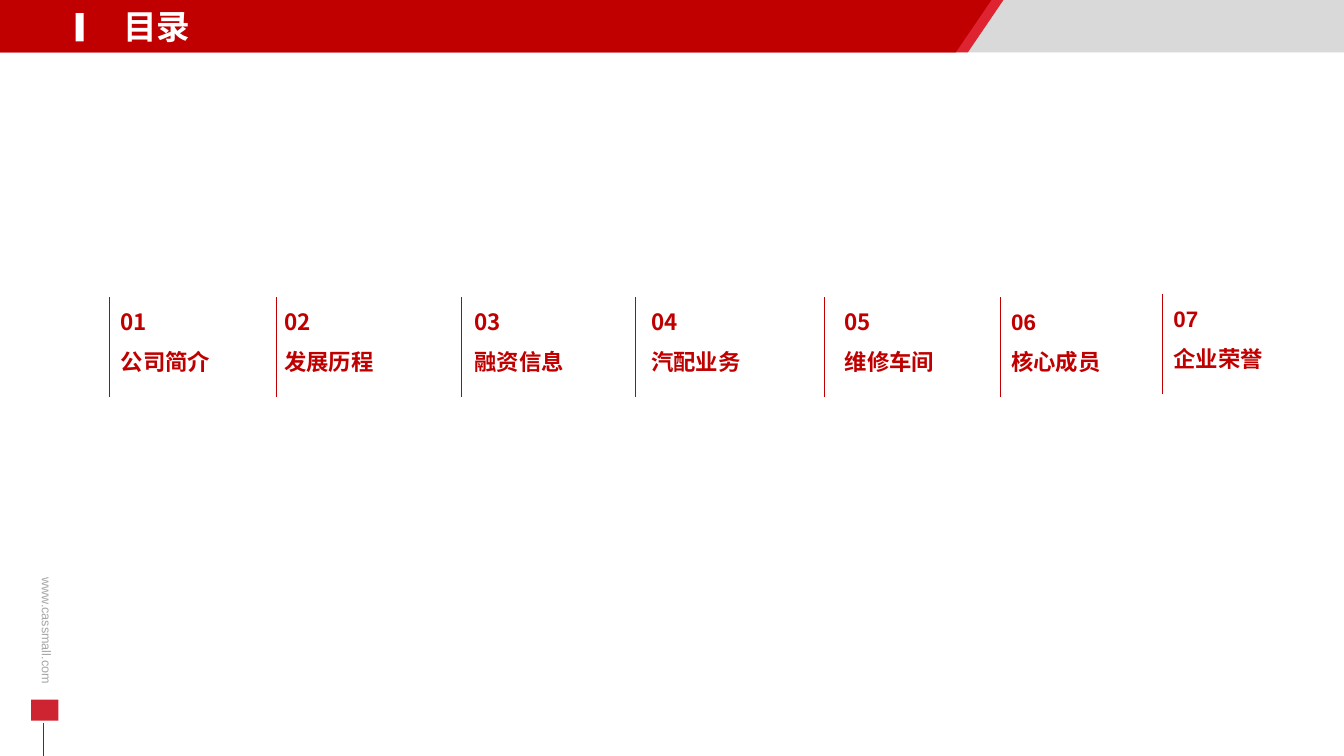
from dataclasses import dataclass

from lxml import etree
from pptx import Presentation
from pptx.dml.color import RGBColor
from pptx.enum.shapes import MSO_CONNECTOR, MSO_SHAPE
from pptx.enum.text import MSO_ANCHOR, MSO_AUTO_SIZE, PP_ALIGN
from pptx.oxml.ns import qn
from pptx.shapes.autoshape import Shape
from pptx.slide import Slide
from pptx.text.text import TextFrame, _Run
from pptx.util import Inches, Pt

STRAIGHT = MSO_CONNECTOR.STRAIGHT
RECTANGLE = MSO_SHAPE.RECTANGLE
TOP = MSO_ANCHOR.TOP
FIT_SHAPE = MSO_AUTO_SIZE.SHAPE_TO_FIT_TEXT
LEFT = PP_ALIGN.LEFT

RED = RGBColor(0xC0, 0x00, 0x00)
BRIGHT_RED = RGBColor(0xDF, 0x24, 0x31)
MARKER_RED = RGBColor(0xCE, 0x24, 0x31)
LIGHT_GRAY = RGBColor(0xD9, 0xD9, 0xD9)
URL_GRAY = RGBColor(0xA6, 0xA6, 0xA6)
WHITE = RGBColor(0xFF, 0xFF, 0xFF)

LATIN = "Arial"
CHINESE = "Noto Sans CJK SC"
HEADER_HEIGHT = 0.52
SLANT = 0.36
ENTRY_TOP = 2.87
ENTRY_HEIGHT = 0.91
DIVIDER_OFFSET = 0.08
DIVIDER_HEIGHT = 0.99


@dataclass(frozen=True)
class Block:
    left: float
    top: float
    width: float
    height: float
    color: RGBColor


@dataclass(frozen=True)
class Band:
    right: float
    color: RGBColor


@dataclass(frozen=True)
class Entry:
    label: str
    divider_left: float
    text_left: float
    width: float
    wrap: bool = True
    number_font: str = CHINESE
    top: float = ENTRY_TOP


BLOCKS_BEHIND = [
    Block(0, 0, 13.33, HEADER_HEIGHT, LIGHT_GRAY),
    Block(0.31, 6.94, 0.27, 0.21, MARKER_RED),
]
BANDS = [Band(9.96, BRIGHT_RED), Band(9.84, RED)]
TITLE_MARK = Block(0.75, 0.13, 0.08, 0.28, WHITE)
ENTRIES = [
    Entry("公司简介", 1.08, 1.1, 1.1, wrap=False),
    Entry("发展历程", 2.74, 2.72, 1.11, wrap=False),
    Entry("融资信息", 4.58, 4.61, 1.67),
    Entry("汽配业务", 6.3, 6.36, 1.46),
    Entry("维修车间", 8.18, 8.28, 1.62),
    Entry("核心成员", 9.92, 9.93, 1.68, number_font=LATIN),
    Entry("企业荣誉", 11.53, 11.54, 1.68, number_font=LATIN, top=2.84),
]


def paint(shape: Shape, color: RGBColor) -> None:
    shape.fill.solid()
    shape.fill.fore_color.rgb = color
    shape.line.fill.background()
    shape.shadow.inherit = False


def add_block(slide: Slide, block: Block) -> None:
    shape = slide.shapes.add_shape(
        RECTANGLE, Inches(block.left), Inches(block.top), Inches(block.width), Inches(block.height)
    )
    paint(shape, block.color)


def add_band(slide: Slide, band: Band) -> None:
    builder = slide.shapes.build_freeform(0, 0)
    corners = [(band.right, -0.01), (band.right - SLANT, HEADER_HEIGHT), (0, HEADER_HEIGHT)]
    builder.add_line_segments([(Inches(x), Inches(y)) for x, y in corners], close=True)
    paint(builder.convert_to_shape(), band.color)


def add_rule(slide: Slide, left: float, top: float, bottom: float, width: float) -> None:
    rule = slide.shapes.add_connector(
        STRAIGHT, Inches(left), Inches(top), Inches(left), Inches(bottom)
    )
    rule.line.color.rgb = RED
    rule.line.width = Pt(width)
    etree.SubElement(rule.element.spPr, qn("a:effectLst"))


def format_run(run: _Run, font_name: str, size: float, color: RGBColor, bold: bool) -> None:
    run.font.name = font_name
    run.font.size = Pt(size)
    run.font.bold = bold
    run.font.color.rgb = color
    east_asian = etree.SubElement(run.font._element, qn("a:ea"))
    east_asian.set("typeface", CHINESE)


def fit_frame(text_frame: TextFrame, wrap: bool) -> None:
    text_frame.word_wrap = wrap
    text_frame.auto_size = FIT_SHAPE
    text_frame.vertical_anchor = TOP


def add_entry(slide: Slide, number: int, entry: Entry) -> None:
    divider_top = entry.top + DIVIDER_OFFSET
    add_rule(slide, entry.divider_left, divider_top, divider_top + DIVIDER_HEIGHT, 0.5)
    box = slide.shapes.add_textbox(
        Inches(entry.text_left), Inches(entry.top), Inches(entry.width), Inches(ENTRY_HEIGHT)
    )
    fit_frame(box.text_frame, entry.wrap)
    box.text_frame.text = f"{number:02d}\n{entry.label}"
    for paragraph, font_name in zip(box.text_frame.paragraphs, (entry.number_font, CHINESE)):
        paragraph.line_spacing = 1.5
        format_run(paragraph.runs[0], font_name, 16, RED, True)


def add_web_address(slide: Slide) -> None:
    box = slide.shapes.add_textbox(Inches(-0.19), Inches(6.16), Inches(1.31), Inches(0.25))
    box.rotation = 90
    fit_frame(box.text_frame, False)
    box.text_frame.text = "www.cassmall.com"
    format_run(box.text_frame.paragraphs[0].runs[0], LATIN, 9, URL_GRAY, False)


def place_title(slide: Slide) -> None:
    title = slide.shapes.title
    title.left, title.top = Inches(1.12), Inches(0.01)
    title.width, title.height = Inches(0.88), Inches(0.5)
    fit_frame(title.text_frame, False)
    title.text_frame.text = "目录"
    paragraph = title.text_frame.paragraphs[0]
    paragraph.alignment = LEFT
    format_run(paragraph.runs[0], LATIN, 24, WHITE, True)
    slide.shapes.element.append(title.element)


def main() -> None:
    presentation = Presentation()
    presentation.slide_width = Inches(13.33)
    presentation.slide_height = Inches(7.5)
    slide = presentation.slides.add_slide(presentation.slide_layouts[5])
    for block in BLOCKS_BEHIND:
        add_block(slide, block)
    for band in BANDS:
        add_band(slide, band)
    add_rule(slide, 0.43, 7.17, 7.5, 0.75)
    add_web_address(slide)
    for number, entry in enumerate(ENTRIES, start=1):
        add_entry(slide, number, entry)
    add_block(slide, TITLE_MARK)
    place_title(slide)
    presentation.save("out.pptx")


if __name__ == "__main__":
    main()
